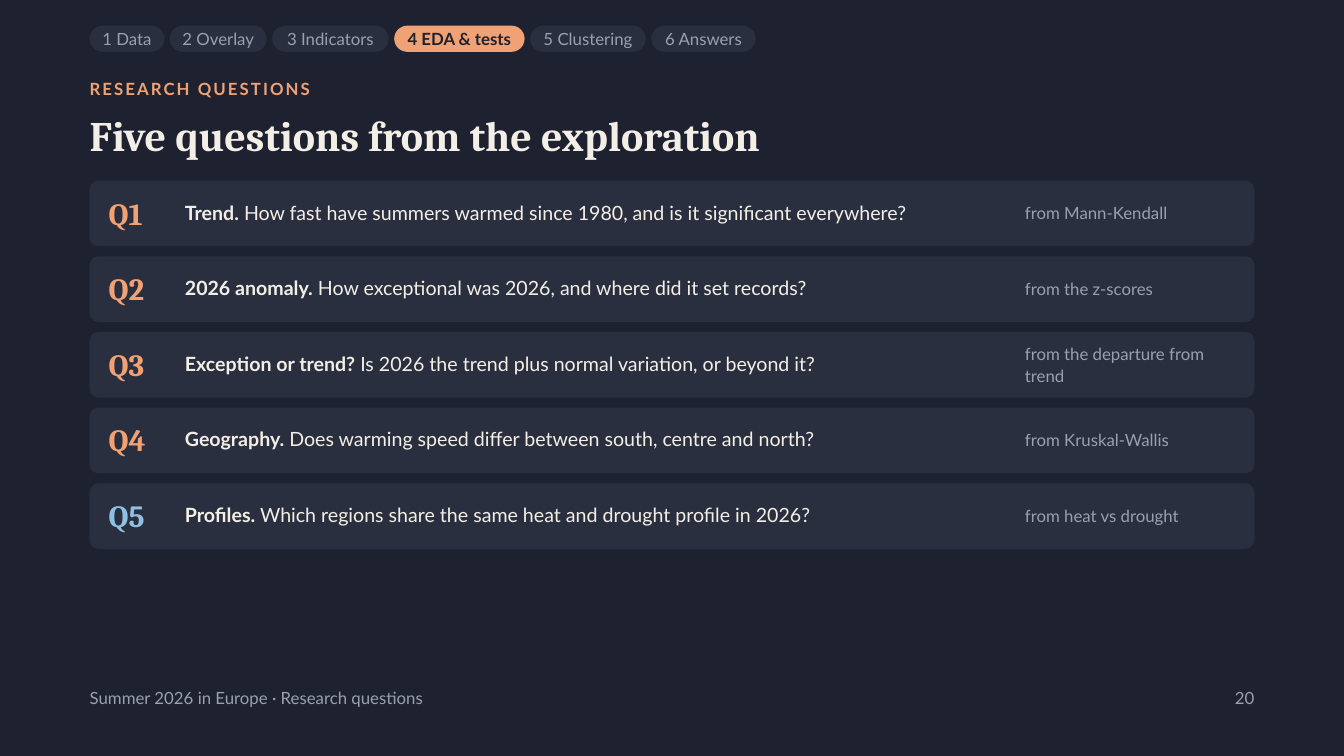
import pptx
import pptx.dml.color
import pptx.enum.shapes
import pptx.enum.text
import pptx.util

Cm = pptx.util.Cm
Pt = pptx.util.Pt
ALIGN = pptx.enum.text.PP_ALIGN
ANCHOR = pptx.enum.text.MSO_ANCHOR

STEPS = [
    ("1 Data", 2.82),
    ("2 Overlay", 3.66),
    ("3 Indicators", 4.4),
    ("4 EDA & tests", 4.93),
    ("5 Clustering", 4.37),
    ("6 Answers", 3.94),
]
CURRENT_STEP = "4 EDA & tests"
KICKER = "RESEARCH QUESTIONS"
TITLE = "Five questions from the exploration"
QUESTIONS = [
    ("Q1", "Trend.", " How fast have summers warmed since 1980, and is it significant everywhere?",
     "from Mann-Kendall", "accent"),
    ("Q2", "2026 anomaly.", " How exceptional was 2026, and where did it set records?",
     "from the z-scores", "accent"),
    ("Q3", "Exception or trend?", " Is 2026 the trend plus normal variation, or beyond it?",
     "from the departure from trend", "accent"),
    ("Q4", "Geography.", " Does warming speed differ between south, centre and north?",
     "from Kruskal-Wallis", "accent"),
    ("Q5", "Profiles.", " Which regions share the same heat and drought profile in 2026?",
     "from heat vs drought", "cool"),
]
FOOTER = "Summer 2026 in Europe · Research questions"
PAGE = "20"

THEME = {
    "colours": {
        "ground": "1E2230", "panel": "2A2F40", "accent": "F0A274",
        "cool": "8EC1E3", "ink": "F4EFE6", "muted": "9AA0AE",
    },
    "styles": {
        "small": {"name": "Lato", "size": Pt(18), "bold": False},
        "strong": {"name": "Lato", "size": Pt(18), "bold": True},
        "title": {"name": "Cambria", "size": Pt(45), "bold": True},
        "label": {"name": "Cambria", "size": Pt(33), "bold": True},
        "topic": {"name": "Lato", "size": Pt(21), "bold": True},
        "body": {"name": "Lato", "size": Pt(21), "bold": False},
    },
}

MARGIN, CONTENT_WIDTH = 3.39, 44.02
STEP_TOP, STEP_HEIGHT, STEP_GAP = 0.97, 0.99, 0.21
ROW_TOP, ROW_HEIGHT, ROW_PITCH = 6.83, 2.48, 2.86
FOOTER_TOP = 25.88


def colour(key):
    return pptx.dml.color.RGBColor.from_string(THEME["colours"][key])


def apply(target, values):
    for attribute, value in values.items():
        setattr(target, attribute, value)


def write(frame, runs, leading, align=ALIGN.LEFT, anchor=ANCHOR.TOP, bottom=0, tracking=None):
    apply(frame, {
        "word_wrap": True, "vertical_anchor": anchor, "margin_left": 0,
        "margin_right": 0, "margin_top": 0, "margin_bottom": Cm(bottom),
    })
    paragraph = frame.paragraphs[0]
    apply(paragraph, {"alignment": align, "line_spacing": Pt(leading)})
    for words, style, tint in runs:
        run = paragraph.add_run()
        run.text = words
        apply(run.font, THEME["styles"][style])
        run.font.color.rgb = colour(tint)
        if tracking:
            run.font._element.set("spc", str(tracking))


def add_words(slide, left, top, width, height, runs, leading, **options):
    words = slide.shapes.add_textbox(Cm(left), Cm(top), Cm(width), Cm(height))
    write(words.text_frame, runs, leading, **options)


def add_panel(slide, left, top, width, height, rounding, tint):
    panel = slide.shapes.add_shape(
        pptx.enum.shapes.MSO_SHAPE.ROUNDED_RECTANGLE, Cm(left), Cm(top), Cm(width), Cm(height))
    panel.adjustments[0] = rounding
    panel.shadow.inherit = False
    panel.fill.solid()
    panel.fill.fore_color.rgb = colour(tint)
    panel.line.fill.background()
    return panel


def add_steps(slide):
    left = MARGIN
    for step, width in STEPS:
        current = step == CURRENT_STEP
        pill = add_panel(slide, left, STEP_TOP, width, STEP_HEIGHT, 0.5,
                         "accent" if current else "panel")
        run = (step, "strong", "ground") if current else (step, "small", "muted")
        write(pill.text_frame, [run], 25.2, align=ALIGN.CENTER, anchor=ANCHOR.MIDDLE, bottom=0.1)
        left += width + STEP_GAP


def add_questions(slide):
    for index, (label, topic, question, method, tint) in enumerate(QUESTIONS):
        top = ROW_TOP + index * ROW_PITCH
        add_panel(slide, MARGIN, top, CONTENT_WIDTH, ROW_HEIGHT, 0.13, "panel")
        columns = [
            (4.11, 2.34, 2.19, [(label, "label", tint)], 46.2),
            (6.99, 31.93, 2.27, [(topic, "topic", "ink"), (question, "body", "ink")], 28.4),
            (38.74, 8.18, 2.4, [(method, "small", "muted")], 23.4),
        ]
        for left, width, height, runs, leading in columns:
            add_words(slide, left, top, width, height, runs, leading, anchor=ANCHOR.MIDDLE)


def main():
    deck = pptx.Presentation()
    apply(deck, {"slide_width": Cm(50.8), "slide_height": Cm(28.58)})
    slide = deck.slides.add_slide(deck.slide_layouts[6])
    slide.background.fill.solid()
    slide.background.fill.fore_color.rgb = colour("ground")

    add_steps(slide)
    add_words(slide, MARGIN, 2.84, 45.34, 1.09, [(KICKER, "strong", "accent")], 25.2, tracking=220)
    add_words(slide, MARGIN, 4.24, 45.34, 1.85, [(TITLE, "title", "ink")], 51.7)
    add_questions(slide)
    add_words(slide, MARGIN, FOOTER_TOP, 38.15, 1.09, [(FOOTER, "small", "muted")], 25.2)
    add_words(slide, 44.02, FOOTER_TOP, 3.39, 1.09, [(PAGE, "small", "muted")], 25.2,
              align=ALIGN.RIGHT)
    deck.save("out.pptx")


if __name__ == "__main__":
    main()
